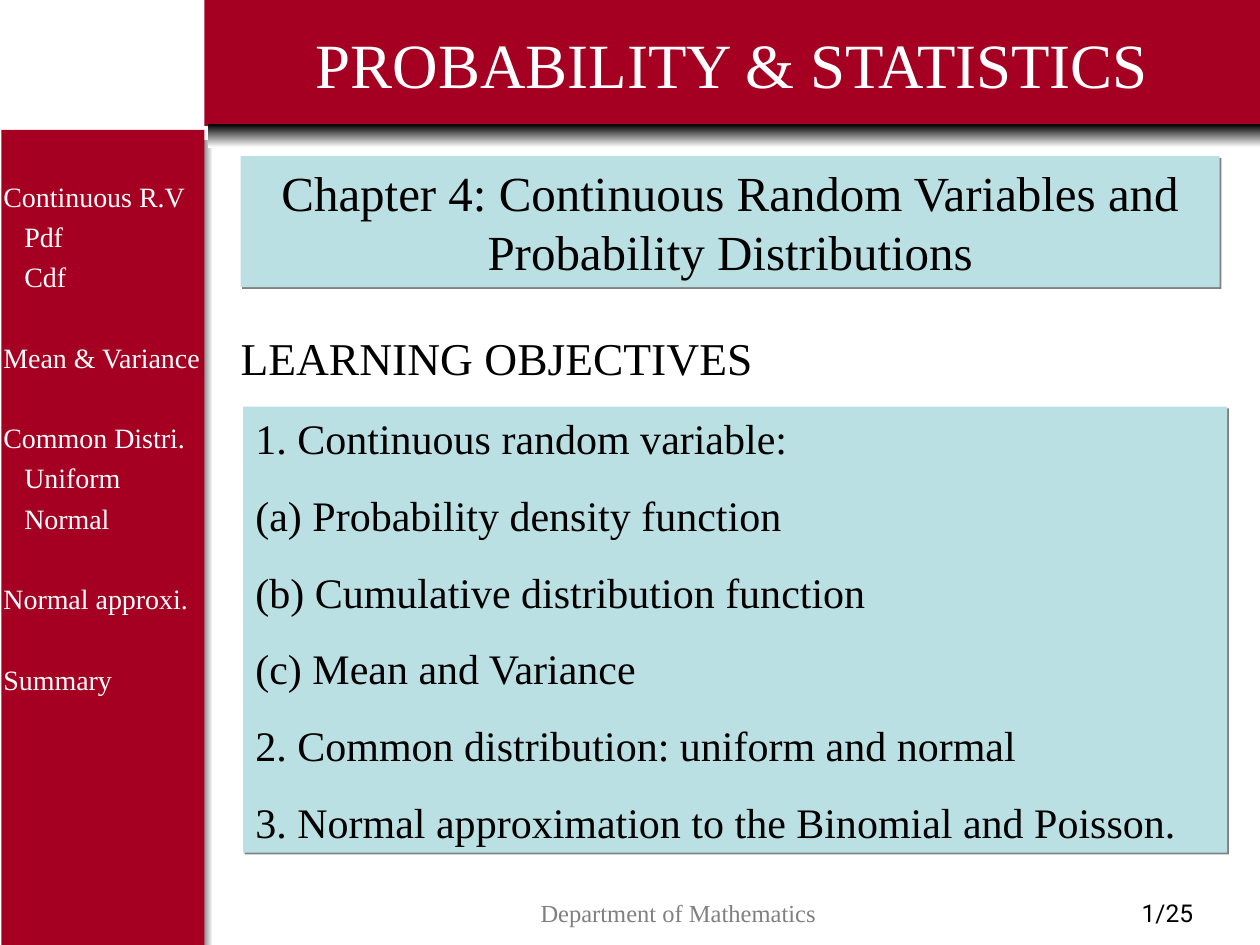
from lxml import etree
from pptx import Presentation
from pptx.dml.color import RGBColor
from pptx.enum.shapes import MSO_SHAPE as Shape
from pptx.enum.text import MSO_ANCHOR as Anchor, PP_ALIGN as Align
from pptx.oxml.ns import qn
from pptx.util import Cm, Pt

CRIMSON = RGBColor(0xA5, 0x00, 0x21)
PALE_TEAL = RGBColor(0xBB, 0xE0, 0xE3)
GRAY = RGBColor(0x80, 0x80, 0x80)
BLACK = RGBColor(0, 0, 0)
WHITE = RGBColor(0xFF, 0xFF, 0xFF)
SERIF = "Times New Roman"

# Each group is a heading followed by its sub-items
SIDEBAR_GROUPS = [
    ["Continuous R.V", "Pdf", "Cdf"],
    ["Mean & Variance"],
    ["Common Distri.", "Uniform", "Normal"],
    ["Normal approxi."],
    ["Summary"],
]
OBJECTIVES = [
    "1. Continuous random variable:",
    "(a) Probability density function",
    "(b) Cumulative distribution function",
    "(c) Mean and Variance",
    "2. Common distribution: uniform and normal",
    "3. Normal approximation to the Binomial and Poisson.",
]


def format_paragraph(paragraph, size, color, font=SERIF, align=Align.LEFT):
    paragraph.alignment = align
    paragraph.font.size = Pt(size)
    paragraph.font.name = font
    paragraph.font.color.rgb = color


def add_rectangle(slide, left, top, width, height):
    shape = slide.shapes.add_shape(
        Shape.RECTANGLE, Cm(left), Cm(top), Cm(width), Cm(height))
    shape.shadow.inherit = False
    shape.line.fill.background()
    return shape


def add_gradient_bar(slide, left, top, width, height, colors, angle):
    fill = add_rectangle(slide, left, top, width, height).fill
    fill.gradient()
    fill.gradient_angle = angle
    for stop, color, position in zip(fill.gradient_stops, colors, (0, 1)):
        stop.color.rgb = color
        stop.position = position


def add_solid(slide, left, top, width, height, color):
    shape = add_rectangle(slide, left, top, width, height)
    shape.fill.solid()
    shape.fill.fore_color.rgb = color
    return shape


def add_panel(slide, left, top, width, height):
    """Pale box with a hard grey shadow at the lower right."""
    shape = add_solid(slide, left, top, width, height, PALE_TEAL)
    effects = shape._element.spPr.find(qn("a:effectLst"))
    shadow = etree.SubElement(effects, qn("a:outerShdw"), blurRad="0",
                              dist=str(Pt(1.4)), dir="2700000", algn="ctr",
                              rotWithShape="0")
    etree.SubElement(shadow, qn("a:srgbClr"), val=str(GRAY))
    frame = shape.text_frame
    frame.word_wrap = True
    frame.vertical_anchor = Anchor.TOP
    return frame


def add_text(slide, left, top, width, height):
    frame = slide.shapes.add_textbox(
        Cm(left), Cm(top), Cm(width), Cm(height)).text_frame
    frame.word_wrap = True
    return frame


def add_line(frame, text, size, color, **style):
    """Write into the first empty paragraph, or append a new one."""
    first = frame.paragraphs[0]
    paragraph = frame.add_paragraph() if first.runs else first
    paragraph.add_run().text = text
    format_paragraph(paragraph, size, color, **style)
    return paragraph


def add_sidebar(slide):
    add_solid(slide, 0.03, 2.62, 4.09, 16.43, CRIMSON)
    frame = add_text(slide, -0.18, 3.35, 4.34, 11.4)
    frame.margin_right = 0
    for group_index, group in enumerate(SIDEBAR_GROUPS):
        for item_index, item in enumerate(group):
            paragraph = add_line(frame, item, 16, WHITE)
            paragraph.line_spacing = 1.2
            if item_index:
                properties = paragraph._p.get_or_add_pPr()
                properties.set("marL", str(Cm(0.42)))
            elif group_index:
                paragraph.space_before = Pt(23)


def add_objectives(slide):
    frame = add_panel(slide, 4.9, 8.2, 19.84, 8.99)
    for index, objective in enumerate(OBJECTIVES):
        paragraph = add_line(frame, objective, 24, BLACK)
        properties = paragraph._p.get_or_add_pPr()
        properties.set("marL", str(Cm(0.96)))
        properties.set("indent", str(Cm(-0.96)))
        if index:
            paragraph.space_before = Pt(15)


def set_title(slide, text):
    title = slide.shapes.title
    title.left, title.top, title.width, title.height = (
        Cm(4.12), Cm(0), Cm(21.28), Cm(2.54))
    title.fill.solid()
    title.fill.fore_color.rgb = CRIMSON
    title.text_frame.text = text
    title.text_frame.vertical_anchor = Anchor.MIDDLE
    format_paragraph(title.text_frame.paragraphs[0], 36, WHITE,
                     align=Align.CENTER)


def main():
    presentation = Presentation()
    presentation.slide_width, presentation.slide_height = Cm(25.4), Cm(19.05)
    slide = presentation.slides.add_slide(presentation.slide_layouts[5])

    # Frame: soft edges, sidebar and title band
    add_gradient_bar(slide, 3.91, 2.82, 0.38, 16.23, (WHITE, BLACK), 180)
    add_sidebar(slide)
    add_gradient_bar(slide, 4.19, 2.51, 21.21, 0.46, (BLACK, WHITE), 270)
    set_title(slide, "PROBABILITY & STATISTICS")

    # Footer
    add_line(add_text(slide, 21.67, 17.98, 3.73, 1.07), "1/25", 14, BLACK,
             font="Roboto", align=Align.CENTER)
    add_line(add_text(slide, 5.94, 17.98, 15.47, 1.07),
             "Department of Mathematics", 14, GRAY, align=Align.CENTER)

    # Content
    add_line(add_text(slide, 4.6, 6.53, 17.83, 1.37),
             "LEARNING OBJECTIVES", 26, BLACK)
    add_objectives(slide)
    add_line(add_panel(slide, 4.85, 3.15, 19.74, 2.64),
             "Chapter 4: Continuous Random Variables and "
             "Probability Distributions", 28, BLACK, align=Align.CENTER)

    presentation.save("out.pptx")


if __name__ == "__main__":
    main()
